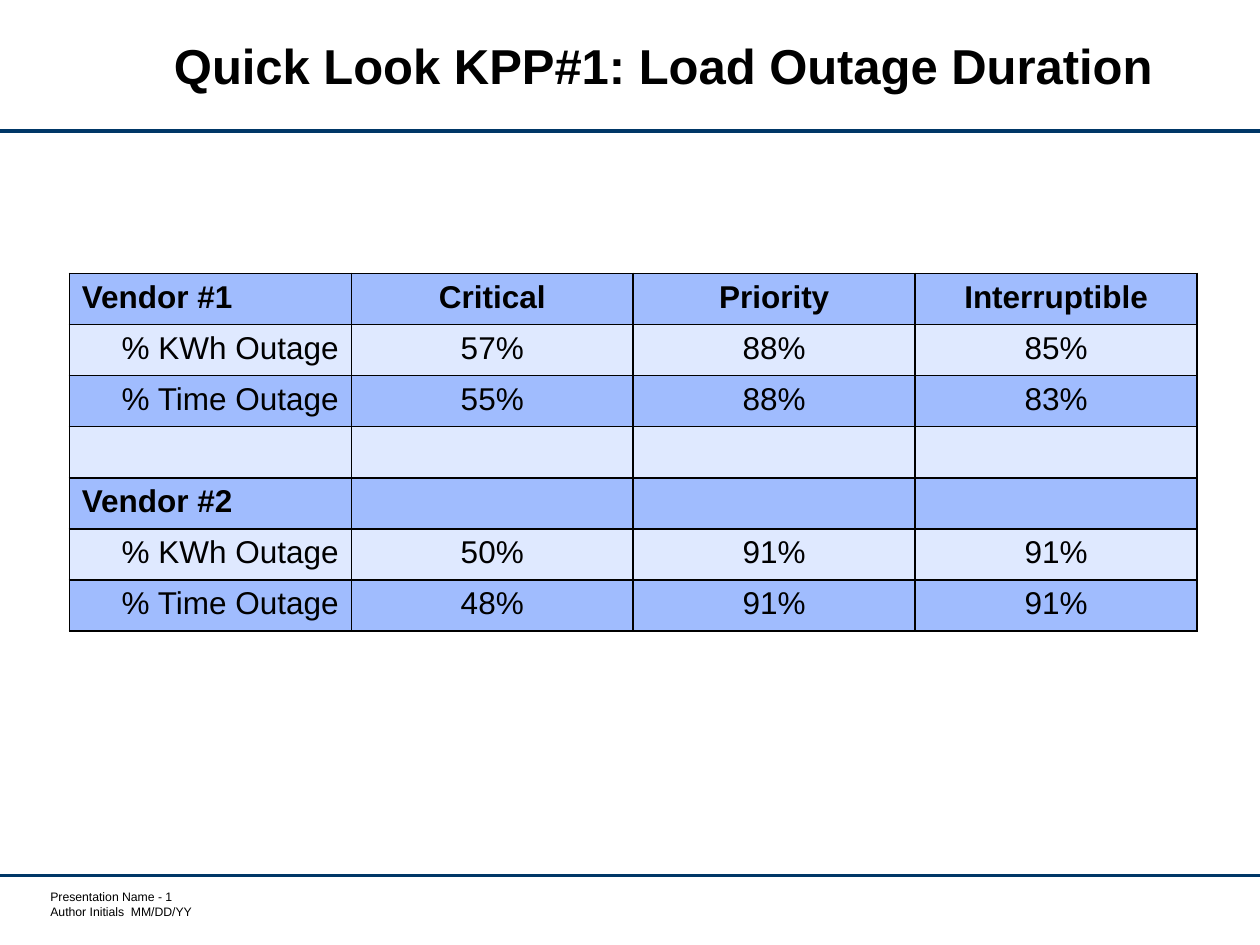
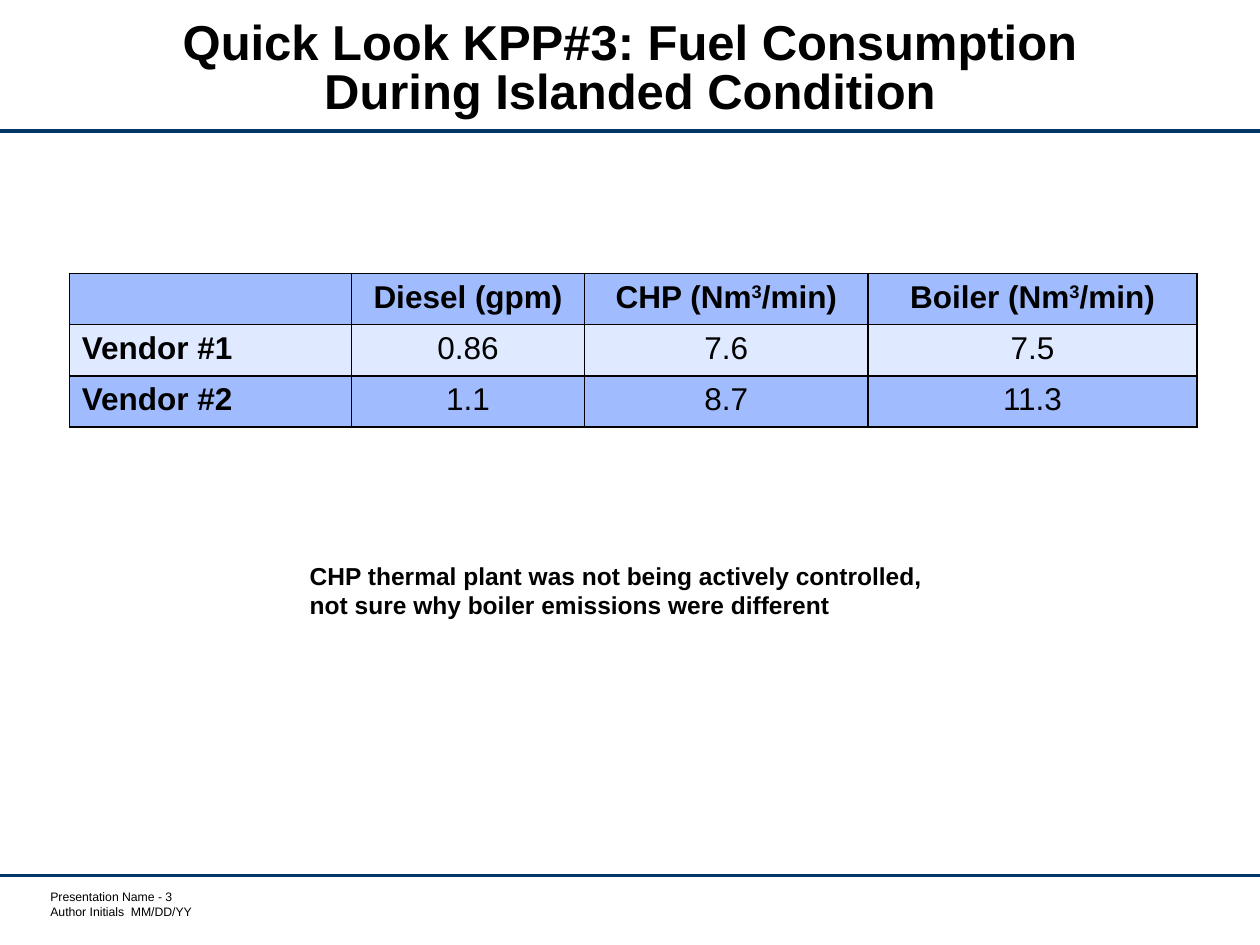
from lxml import etree
from pptx import Presentation, util as u
from pptx.dml.color import RGBColor
from pptx.enum import shapes, text
from pptx.oxml.ns import qn

# Shared look; the grid has 100 columns and 75 rows of a tenth of an inch
CELL = u.Inches(0.1)
COLUMNS, ROWS = 100, 75
FONT = "Arial"
BLACK, NAVY = "000000", "003767"
BANDS = ("A0BCFE", "DFE9FF")
RULES = (10.4, 69.5)
TABLE_LEFT, TABLE_TOP = 5.5, 21.7
LEFT, CENTER, RIGHT = text.PP_ALIGN.LEFT, text.PP_ALIGN.CENTER, text.PP_ALIGN.RIGHT


def grid(*cells):
    return [round(cell * CELL) for cell in cells]


def color(value):
    return RGBColor.from_string(value)


def add_spans(para, words, size, bold=False):
    """Add runs; every second part between ^ marks is superscript."""
    for index, part in enumerate(words.split("^")):
        span = para.add_run()
        span.text = part
        span.font.name = FONT
        span.font.size = u.Pt(size)
        span.font.bold = bold
        span.font.color.rgb = color(BLACK)
        if index % 2:
            span.font._element.set("baseline", "30000")


def add_text(page, place, lines, size, bold=False, align=LEFT, spacing=None,
             anchor=text.MSO_ANCHOR.TOP, margins=None, wrap=True):
    frame = page.shapes.add_textbox(*grid(*place)).text_frame
    frame.word_wrap = wrap
    frame.vertical_anchor = anchor
    if margins:
        (frame.margin_left, frame.margin_top,
         frame.margin_right, frame.margin_bottom) = grid(*margins)
    for index, line in enumerate(lines):
        para = frame.add_paragraph() if index else frame.paragraphs[0]
        para.alignment = align
        if spacing:
            para.line_spacing = u.Pt(spacing)
        add_spans(para, line, size, bold)


def add_rule(page, row):
    rule = page.shapes.add_connector(
        shapes.MSO_CONNECTOR.STRAIGHT, *grid(0, row, COLUMNS, row))
    rule.line.color.rgb = color(NAVY)
    rule.line.width = u.Pt(1.75)
    etree.SubElement(rule._element.spPr, qn("a:effectLst"))


def add_borders(cell):
    properties = cell._tc.get_or_add_tcPr()
    for side in ("L", "R", "T", "B"):
        line = etree.SubElement(properties, qn("a:ln" + side), w=str(u.Pt(1)))
        fill = etree.SubElement(line, qn("a:solidFill"))
        etree.SubElement(fill, qn("a:srgbClr"), val=BLACK)


def add_table(page, widths, height, rows):
    table = page.shapes.add_table(
        len(rows), len(widths),
        *grid(TABLE_LEFT, TABLE_TOP, sum(widths), height)).table
    table.first_row = table.horz_banding = False
    for column, width in zip(table.columns, grid(*widths)):
        column.width = width
    for r, values in enumerate(rows):
        for c, value in enumerate(values):
            cell = table.cell(r, c)
            add_borders(cell)
            cell.fill.solid()
            cell.fill.fore_color.rgb = color(BANDS[r % 2])
            if value:
                vendor = value.startswith("Vendor")
                para = cell.text_frame.paragraphs[0]
                para.alignment = LEFT if vendor else CENTER if c else RIGHT
                add_spans(para, value, 18, bold=vendor or r == 0)


def add_page(deck, number, title, title_width):
    page = deck.slides.add_slide(deck.slide_layouts[6])
    for row in RULES:
        add_rule(page, row)
    add_text(page, (3.5, 70.6, 11.9, 2.4),
             [f"Presentation Name - {number}", "Author Initials  MM/DD/YY"],
             7, margins=(0.5, 0, 0, 0), wrap=False)
    add_text(page, (10.3, 1.1, title_width, 8.9), [title], 28, bold=True,
             align=CENTER, spacing=28, anchor=text.MSO_ANCHOR.MIDDLE)
    return page


def main():
    deck = Presentation()
    deck.slide_width, deck.slide_height = grid(COLUMNS, ROWS)

    # Load outage
    page = add_page(deck, 1, "Quick Look KPP#1: Load Outage Duration", 84.7)
    add_table(page, [22.38] * 4, 28.4, [
        ("Vendor #1", "Critical", "Priority", "Interruptible"),
        ("% KWh Outage", "57%", "88%", "85%"),
        ("% Time Outage", "55%", "88%", "83%"),
        ("",) * 4,
        ("Vendor #2", "", "", ""),
        ("% KWh Outage", "50%", "91%", "91%"),
        ("% Time Outage", "48%", "91%", "91%"),
    ])

    # Fuel consumption
    page = add_page(
        deck, 3, "Quick Look KPP#3: Fuel Consumption During Islanded Condition", 79.4)
    add_table(page, [22.4, 18.5, 22.5, 26.1], 12.2, [
        ("", "Diesel (gpm)", "CHP (Nm^3^/min)", "Boiler (Nm^3^/min)"),
        ("Vendor #1", "0.86", "7.6", "7.5"),
        ("Vendor #2", "1.1", "8.7", "11.3"),
    ])
    add_text(page, (23.6, 44, 50.8, 5.7),
             ["CHP thermal plant was not being actively controlled,",
              "not sure why boiler emissions were different"],
             14, bold=True, wrap=False)

    deck.save("out.pptx")


main()
